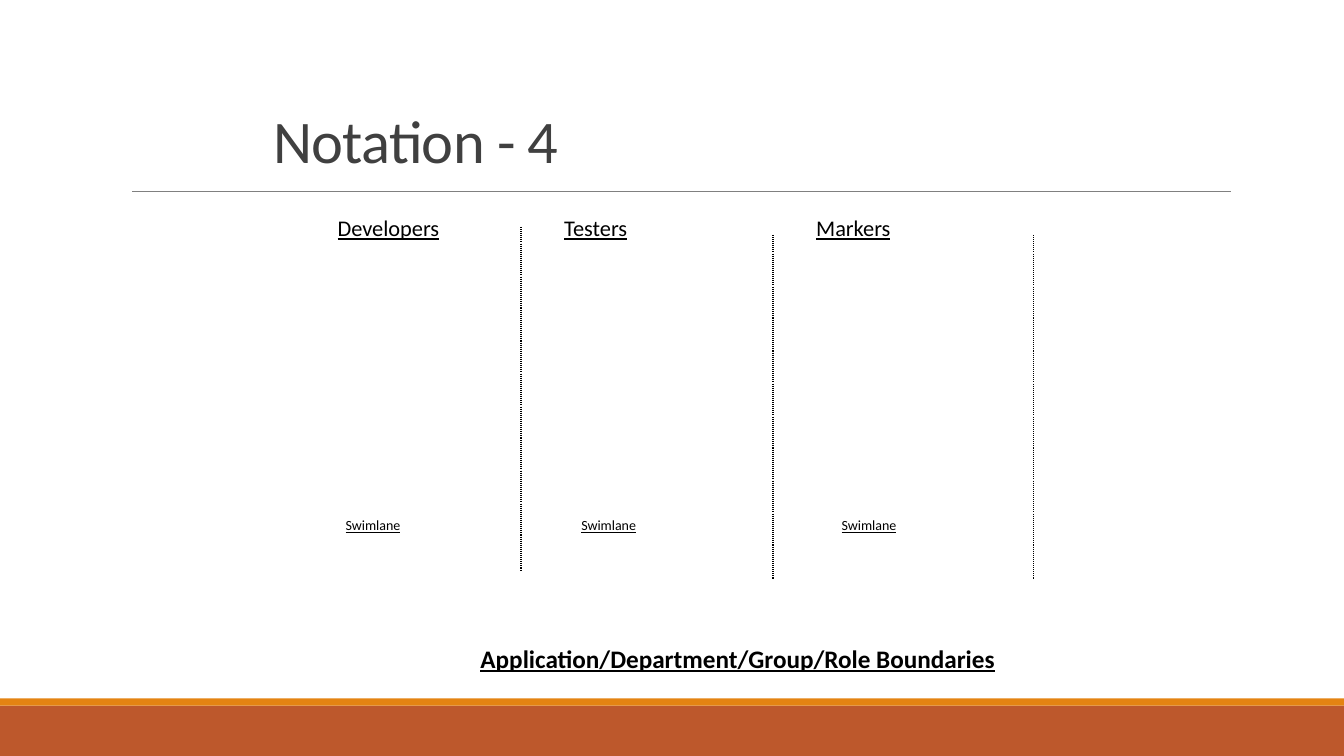
from pptx import Presentation
from pptx.dml.color import RGBColor
from pptx.enum.dml import MSO_LINE
from pptx.enum.shapes import MSO_CONNECTOR as CONNECTOR, MSO_SHAPE as SHAPE
from pptx.enum.text import MSO_ANCHOR as ANCHOR, MSO_AUTO_SIZE as AUTO_SIZE, PP_ALIGN as ALIGN
from pptx.oxml.ns import qn
from pptx.util import Cm, Pt
from lxml.etree import SubElement

COLORS = {
    "footer": "BD582C",
    "accent": "E48312",
    "rule": "808080",
    "title": "404040",
    "ink": "000000",
}
FONT = "Calibri"
SLIDE_WIDTH, SLIDE_HEIGHT = 33.87, 19.05
LANE_LENGTH = 8.68
LANES = [
    ("Developers", 8.26, 3.38, 8.46, 13.13, 5.72),
    ("Testers", 13.97, 2.36, 14.4, 19.48, 5.92),
    ("Markers", 20.32, 2.57, 20.96, 26.04, 5.92),
]


def color(name):
    return RGBColor.from_string(COLORS[name])


def style_font(font, size, color_name):
    font.name = FONT
    font.size = Pt(size)
    font.color.rgb = color(color_name)


def add_band(slide, top, height, color_name):
    band = slide.shapes.add_shape(
        SHAPE.RECTANGLE, Cm(0), Cm(top), Cm(SLIDE_WIDTH), Cm(height))
    band.shadow.inherit = False
    band.fill.solid()
    band.fill.fore_color.rgb = color(color_name)
    band.line.fill.background()


def add_line(slide, start, end, color_name, width, dash=None):
    line = slide.shapes.add_connector(
        CONNECTOR.STRAIGHT, *(Cm(value) for value in start + end))
    line.line.color.rgb = color(color_name)
    line.line.width = Pt(width)
    line.line.dash_style = dash
    SubElement(line._element.spPr, qn("a:effectLst"))


def add_label(slide, text, left, top, width, height, size, bold=False):
    label = slide.shapes.add_textbox(Cm(left), Cm(top), Cm(width), Cm(height))
    label.text_frame.word_wrap = True
    paragraph = label.text_frame.paragraphs[0]
    paragraph.text = text
    style_font(paragraph.font, size, "ink")
    paragraph.font.underline = True
    paragraph.font.bold = bold


def fill_title(slide, text):
    title = slide.shapes.title
    title.left, title.top = Cm(6.63), Cm(2.57)
    title.width, title.height = Cm(17.63), Cm(1.98)
    frame = title.text_frame
    frame.auto_size = AUTO_SIZE.NONE
    frame.vertical_anchor = ANCHOR.BOTTOM
    paragraph = frame.paragraphs[0]
    paragraph.text = text
    paragraph.alignment = ALIGN.LEFT
    paragraph.line_spacing = 0.85
    style_font(paragraph.font, 43.2, "title")
    paragraph.runs[0]._r.get_or_add_rPr().set("spc", "-50")


def main():
    deck = Presentation()
    deck.slide_width, deck.slide_height = Cm(SLIDE_WIDTH), Cm(SLIDE_HEIGHT)
    slide = deck.slides.add_slide(deck.slide_layouts[5])

    add_band(slide, 17.78, 1.27, "footer")
    add_band(slide, 17.6, 0.18, "accent")
    add_line(slide, (3.33, 4.82), (31.01, 4.82), "rule", 0.5)
    fill_title(slide, "Notation - 4")
    add_label(slide, "Application/Department/Group/Role Boundaries",
              11.86, 16.08, 15.11, 1.02, 18, bold=True)

    for role, role_left, role_width, lane_left, boundary, top in LANES:
        add_line(slide, (boundary, top), (boundary, top + LANE_LENGTH),
                 "ink", 0.75, MSO_LINE.ROUND_DOT)
        add_label(slide, role, role_left, 5.28, role_width, 0.94, 16)
        add_label(slide, "Swimlane", lane_left, 12.9, 2.06, 0.69, 10)

    deck.save("out.pptx")


if __name__ == "__main__":
    main()
